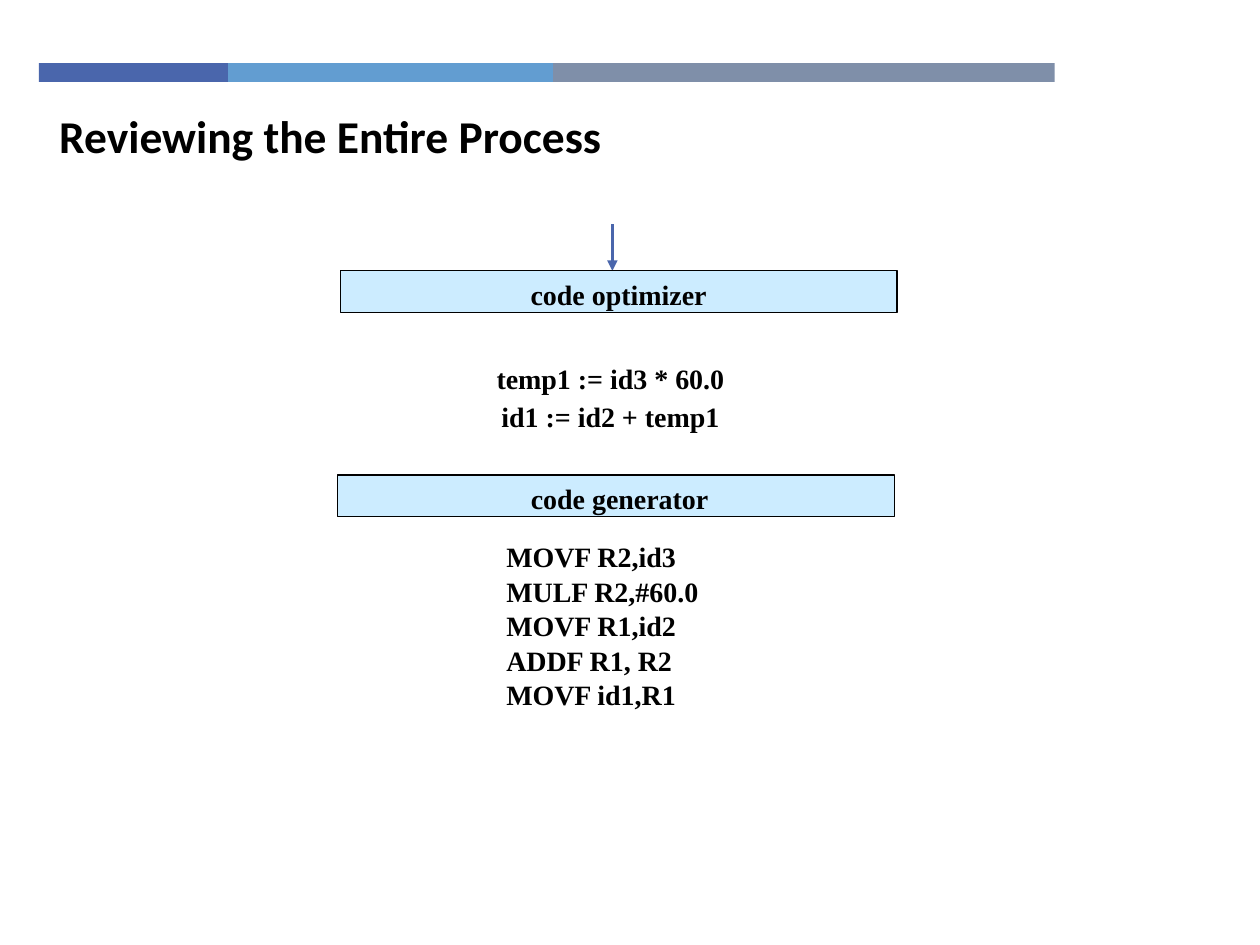
from lxml import etree
from pptx import Presentation
from pptx.dml.color import RGBColor
from pptx.enum.shapes import MSO_CONNECTOR, MSO_SHAPE
from pptx.enum.text import MSO_ANCHOR, PP_ALIGN
from pptx.oxml.ns import qn
from pptx.util import Inches, Pt


def rgb(color):
    return RGBColor.from_string(color)


def add_text(x, y, w, h, lines, align, spacing=1.0):
    """Add bold serif lines; spacing applies to every line after the first."""
    tf = s.shapes.add_textbox(Inches(x), Inches(y), Inches(w), Inches(h)).text_frame
    tf.word_wrap = True
    for i, line in enumerate(lines):
        p = tf.add_paragraph() if i else tf.paragraphs[0]
        p.text = line
        p.alignment = align
        if i:
            p.line_spacing = spacing
            p.space_before = Pt(8)
        p.font.name = "Times New Roman"
        p.font.size = Pt(16)
        p.font.bold = True
        p.font.color.rgb = rgb("000000")


prs = Presentation()
prs.slide_width = Inches(10)
prs.slide_height = Inches(7.5)
s = prs.slides.add_slide(prs.slide_layouts[5])

# Header band
x = 0.31
for w, color in [(1.5, "4A66AC"), (2.58, "629DD1"), (3.98, "7F8FA9")]:
    sp = s.shapes.add_shape(MSO_SHAPE.RECTANGLE, Inches(x), Inches(0.5), Inches(w), Inches(0.15))
    sp.shadow.inherit = False
    sp.fill.solid()
    sp.fill.fore_color.rgb = rgb(color)
    sp.line.fill.background()
    x += w

# Title
title = s.shapes.title
title.left, title.top = Inches(0.37), Inches(0.8)
title.width, title.height = Inches(7.16), Inches(0.54)
tf = title.text_frame
tf.text = "Reviewing the Entire Process"
tf.vertical_anchor = MSO_ANCHOR.MIDDLE
p = tf.paragraphs[0]
p.alignment = PP_ALIGN.LEFT
p.font.name = "Calibri"
p.font.size = Pt(26)
p.font.bold = True
p.font.color.rgb = rgb("000000")

# Arrow into the optimizer
arrow = s.shapes.add_connector(
    MSO_CONNECTOR.STRAIGHT, Inches(4.86), Inches(1.78), Inches(4.86), Inches(2.15))
arrow.line.color.rgb = rgb("4A66AC")
arrow.line.width = Pt(2)
etree.SubElement(arrow.line._get_or_add_ln(), qn("a:tailEnd"), type="triangle")
etree.SubElement(arrow._element.spPr, qn("a:effectLst"))

# Compiler phases
for x, y, label in [(2.7, 2.15, "code optimizer"), (2.68, 3.77, " code generator")]:
    sp = s.shapes.add_shape(MSO_SHAPE.RECTANGLE, Inches(x), Inches(y), Inches(4.42), Inches(0.33))
    sp.shadow.inherit = False
    sp.fill.solid()
    sp.fill.fore_color.rgb = rgb("CCECFF")
    sp.line.color.rgb = rgb("000000")
    sp.line.width = Pt(0.75)
    add_text(x + 0.17, y, 4.08, 0.37, [label], PP_ALIGN.CENTER)

# Output of each phase
add_text(3.01, 2.82, 3.67, 0.7, ["temp1 := id3 * 60.0", "id1 := id2 + temp1"],
         PP_ALIGN.CENTER, 0.7)
add_text(3.92, 4.23, 2.33, 1.57,
         ["MOVF R2,id3", "MULF R2,#60.0", "MOVF R1,id2", "ADDF R1, R2", "MOVF id1,R1"],
         PP_ALIGN.LEFT, 0.6)

prs.save("out.pptx")
